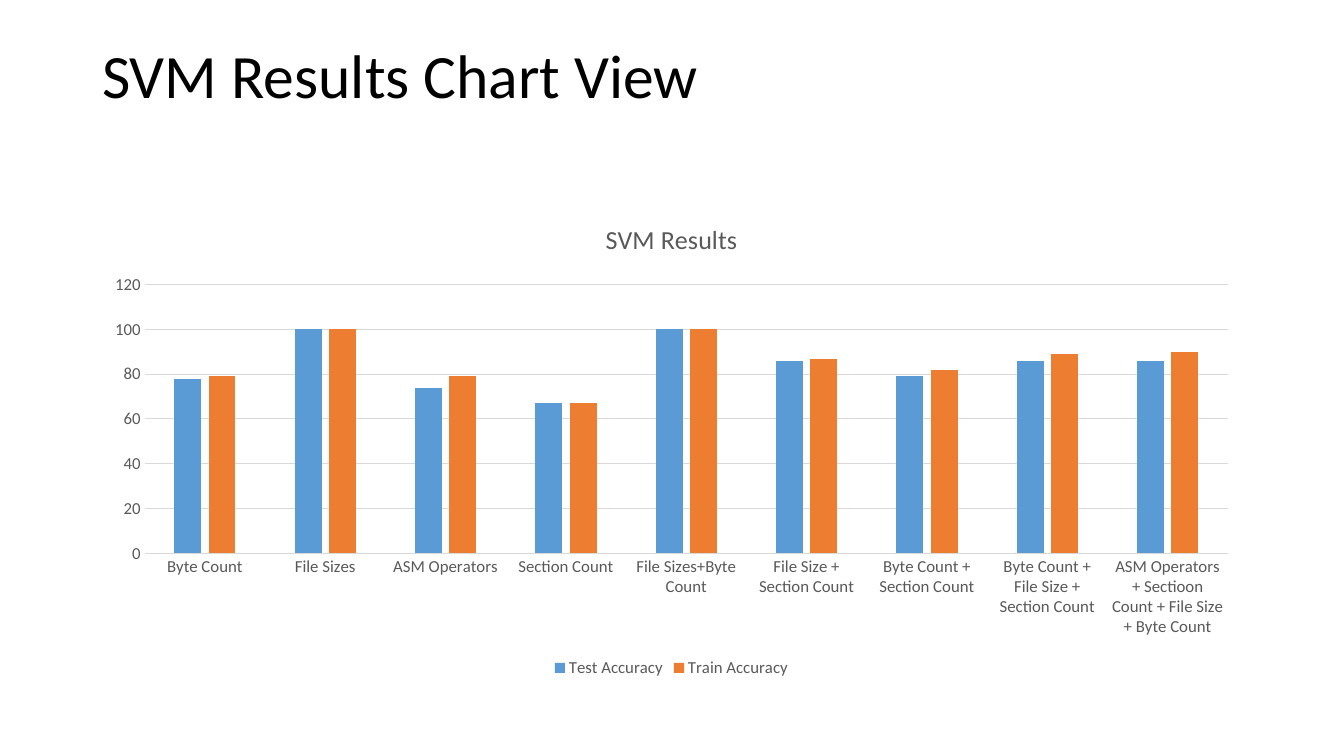
"""Build the SVM results slide with its clustered column chart."""
import pptx
import pptx.chart.data
import pptx.dml.color
import pptx.enum.chart
import pptx.enum.text
import pptx.util

PIXEL = 914400 / 100.8
FONT = "Calibri"
COLORS = {
    "background": "FFFFFF",
    "title": "000000",
    "label": "595959",
    "rule": "D9D9D9",
    "Test Accuracy": "5B9BD5",
    "Train Accuracy": "ED7D31",
}
FEATURES = [
    "Byte Count",
    "File Sizes",
    "ASM Operators",
    "Section Count",
    "File Sizes+Byte Count",
    "File Size + Section Count",
    "Byte Count + Section Count",
    "Byte Count + File Size + Section Count",
    "ASM Operators + Sectioon Count + File Size + Byte Count",
]
ACCURACIES = {
    "Test Accuracy": [78, 100, 74, 67, 100, 86, 79, 86, 86],
    "Train Accuracy": [79, 100, 79, 67, 100, 87, 82, 89, 90],
}


def px(length):
    """Turn pixels into EMU."""
    return pptx.util.Emu(round(length * PIXEL))


def rgb(name):
    """Look up a named colour."""
    return pptx.dml.color.RGBColor.from_string(COLORS[name])


def set_font(font, size, color):
    """Set the typeface, size and colour of a font."""
    font.name = FONT
    font.size = pptx.util.Pt(size)
    font.bold = False
    font.color.rgb = rgb(color)


def write_text(frame, text, *, size, color, align, spacing=1.0):
    """Write one formatted paragraph into a text frame."""
    frame.text = text
    paragraph = frame.paragraphs[0]
    paragraph.alignment = align
    paragraph.line_spacing = spacing
    set_font(paragraph.runs[0].font, size, color)


def draw_rule(line):
    """Give an axis or gridline its thin grey stroke."""
    line.color.rgb = rgb("rule")
    line.width = pptx.util.Pt(0.75)


def place_heading(slide, left, top, width, height):
    """Move and format the slide title."""
    heading = slide.shapes.title
    heading.left, heading.top = px(left), px(top)
    heading.width, heading.height = px(width), px(height)
    frame = heading.text_frame
    frame.word_wrap = True
    frame.auto_size = pptx.enum.text.MSO_AUTO_SIZE.NONE
    frame.vertical_anchor = pptx.enum.text.MSO_ANCHOR.TOP
    write_text(frame, "SVM Results Chart View", size=44, color="title",
               align=pptx.enum.text.PP_ALIGN.LEFT, spacing=0.9)


def place_results(slide, left, top, width, height):
    """Add the chart of test and train accuracy."""
    results = pptx.chart.data.CategoryChartData(number_format="General")
    results.categories = FEATURES
    for name, values in ACCURACIES.items():
        results.add_series(name, values)
    chart = slide.shapes.add_chart(
        pptx.enum.chart.XL_CHART_TYPE.COLUMN_CLUSTERED,
        px(left), px(top), px(width), px(height), results).chart
    set_font(chart.font, 12, "label")
    chart.has_title = True
    write_text(chart.chart_title.text_frame, "SVM Results", size=18.6,
               color="label", align=pptx.enum.text.PP_ALIGN.CENTER)
    chart.chart_title.include_in_layout = False

    chart.has_legend = True
    chart.legend.position = pptx.enum.chart.XL_LEGEND_POSITION.BOTTOM
    chart.legend.include_in_layout = False
    set_font(chart.legend.font, 12, "label")

    for axis in (chart.category_axis, chart.value_axis):
        axis.major_tick_mark = pptx.enum.chart.XL_TICK_MARK.NONE
        axis.minor_tick_mark = pptx.enum.chart.XL_TICK_MARK.NONE
        set_font(axis.tick_labels.font, 12, "label")
    draw_rule(chart.category_axis.format.line)
    accuracy = chart.value_axis
    accuracy.minimum_scale, accuracy.maximum_scale = 0, 120
    accuracy.major_unit = 20
    accuracy.format.line.fill.background()
    draw_rule(accuracy.major_gridlines.format.line)

    columns = chart.plots[0]
    columns.gap_width, columns.overlap = 219, -27
    columns.vary_by_categories = False
    for series in columns.series:
        series.format.fill.solid()
        series.format.fill.fore_color.rgb = rgb(series.name)
        series.invert_if_negative = False


def main():
    """Build and save the presentation."""
    deck = pptx.Presentation()
    deck.slide_width, deck.slide_height = px(1344), px(756)
    slide = deck.slides.add_slide(deck.slide_layouts[5])
    slide.background.fill.solid()
    slide.background.fill.fore_color.rgb = rgb("background")
    place_heading(slide, 92, 40, 1159, 146)
    place_results(slide, 92, 202, 1159, 480)
    deck.save("out.pptx")


main()
